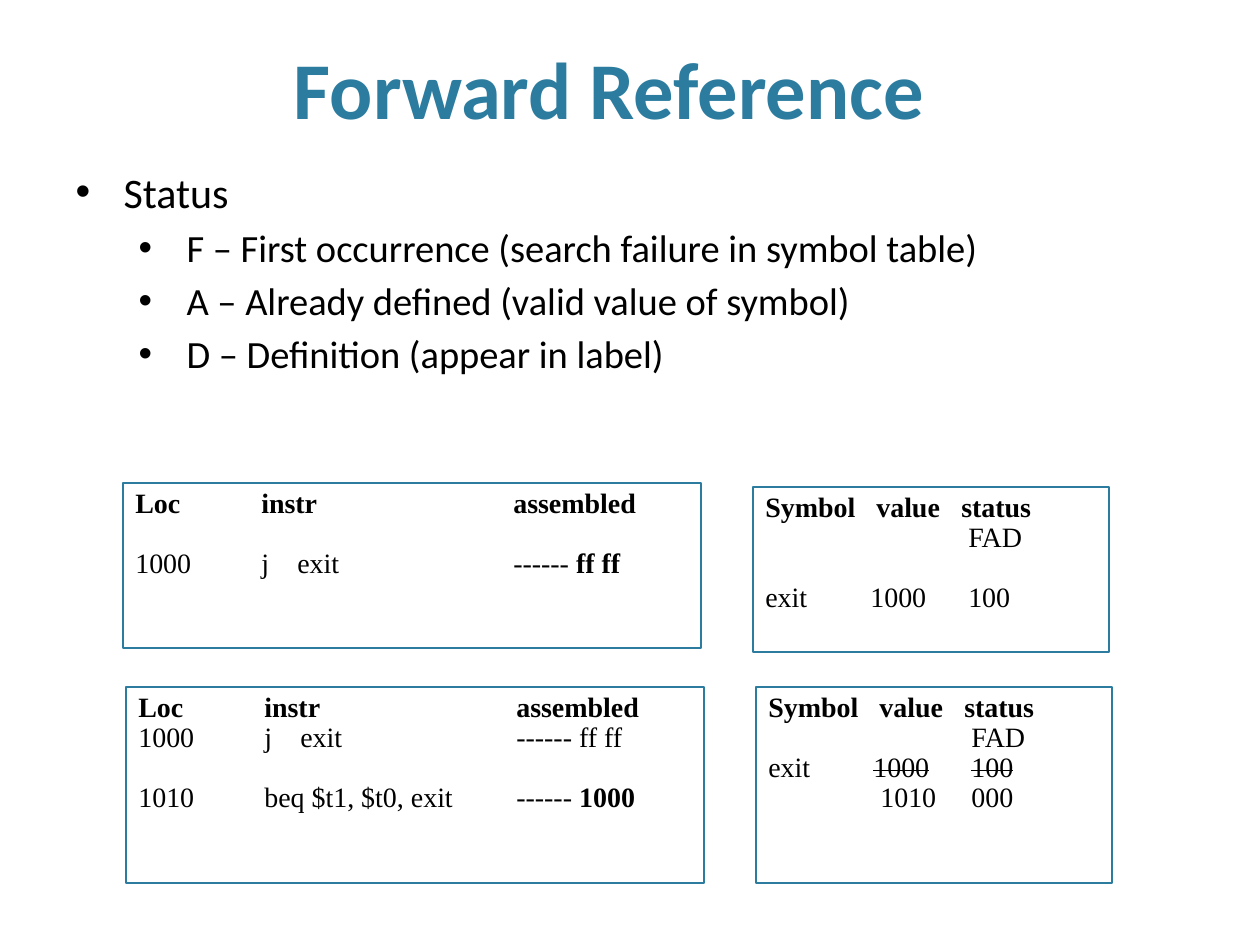
"""Build the Forward Reference slide: status flags above two assembler states."""
import pptx
import pptx.util
import pptx.dml.color
import pptx.enum.shapes
import pptx.enum.text
import pptx.oxml
import pptx.oxml.ns

COLORS = {"accent": "2C7C9F", "text": "000000"}
PX = 914400 // 126
BLANK_LINE = 17

TITLE = ("Forward Reference", (21, 34, 1176, 107))
STATUS_BOX = (63, 160, 1160, 249)
STATUS = [
    (0, "Status"),
    (1, "F – First occurrence (search failure in symbol table)"),
    (1, "A – Already defined (valid value of symbol)"),
    (1, "D – Definition (appear in label)"),
]
LEVELS = [{"size": 24, "indent": 48}, {"size": 22, "indent": 111}]

CODE_HEAD = (0, (126, 378), [("Loc\tinstr\tassembled", "bold")])
SYMBOL_HEAD = [
    (0, (111, 196), [("Symbol\tvalue\tstatus", "bold")]),
    (0, (203,), [("\tFAD", "")]),
]
JUMP_TABS = (126, 162, 378)
PANELS = [
    ((123, 483, 578, 165), [
        CODE_HEAD,
        (BLANK_LINE, JUMP_TABS, [("1000\tj\texit\t------ ", ""), ("ff ff", "bold")]),
    ]),
    ((753, 487, 356, 165), SYMBOL_HEAD + [
        (BLANK_LINE, (105, 203), [("exit\t1000\t100", "")]),
    ]),
    ((126, 687, 578, 196), [
        CODE_HEAD,
        (0, JUMP_TABS, [("1000\tj\texit\t------ ff ff", "")]),
        (BLANK_LINE, (126, 378), [("1010\tbeq $t1, $t0, exit\t------ ", ""), ("1000", "bold")]),
    ]),
    ((756, 687, 356, 196), SYMBOL_HEAD + [
        (0, (105, 203), [("exit\t", ""), ("1000", "strike"), ("\t", ""), ("100", "strike")]),
        (0, (112, 203), [("\t1010\t000", "")]),
    ]),
]


def color(name):
    return pptx.dml.color.RGBColor.from_string(COLORS[name])


def place(shape, box):
    shape.left, shape.top, shape.width, shape.height = [side * PX for side in box]


def setup_frame(frame, anchor):
    frame.word_wrap = True
    frame.auto_size = pptx.enum.text.MSO_AUTO_SIZE.NONE
    frame.vertical_anchor = anchor


def add_run(paragraph, text, font, size, tint="text", style=""):
    run = paragraph.add_run()
    run.text = text
    run.font.name = font
    run.font.size = pptx.util.Pt(size)
    run.font.bold = style == "bold"
    run.font.color.rgb = color(tint)
    if style == "strike":
        run._r.get_or_add_rPr().set("strike", "sngStrike")


def next_paragraph(frame, index):
    return frame.add_paragraph() if index else frame.paragraphs[0]


def add_child(parent, tag, **attributes):
    child = pptx.oxml.parse_xml(f"<{tag} {pptx.oxml.ns.nsdecls('a')}/>")
    for key, value in attributes.items():
        child.set(key, str(value))
    parent.append(child)
    return child


def add_title(slide):
    text, box = TITLE
    title = slide.shapes.title
    place(title, box)
    setup_frame(title.text_frame, pptx.enum.text.MSO_ANCHOR.MIDDLE)
    heading = title.text_frame.paragraphs[0]
    heading.alignment = pptx.enum.text.PP_ALIGN.CENTER
    add_run(heading, text, "Calibri", 46, "accent", "bold")


def add_status(slide):
    body = slide.placeholders[1]
    place(body, STATUS_BOX)
    setup_frame(body.text_frame, pptx.enum.text.MSO_ANCHOR.TOP)
    for index, (level, text) in enumerate(STATUS):
        item = next_paragraph(body.text_frame, index)
        item.level = level
        properties = item._p.get_or_add_pPr()
        properties.set("marL", str(LEVELS[level]["indent"] * PX))
        properties.set("indent", str(-LEVELS[0]["indent"] * PX))
        add_child(properties, "a:buFont", typeface="Arial")
        add_child(properties, "a:buChar", char="•")
        item.space_before = pptx.util.Pt(4 if index else 0)
        add_run(item, text, "Calibri", LEVELS[level]["size"])


def add_panel(slide, box, rows):
    panel = slide.shapes.add_shape(
        pptx.enum.shapes.MSO_SHAPE.RECTANGLE, *[side * PX for side in box])
    panel.shadow.inherit = False
    panel.fill.background()
    panel.line.color.rgb = color("accent")
    panel.line.width = pptx.util.Pt(1.25)
    setup_frame(panel.text_frame, pptx.enum.text.MSO_ANCHOR.TOP)
    for index, (gap, stops, runs) in enumerate(rows):
        row = next_paragraph(panel.text_frame, index)
        tabs = add_child(row._p.get_or_add_pPr(), "a:tabLst")
        for stop in stops:
            add_child(tabs, "a:tab", pos=stop * PX, algn="l")
        row.alignment = pptx.enum.text.PP_ALIGN.LEFT
        row.line_spacing = 0.9
        row.space_before = pptx.util.Pt(gap)
        for text, style in runs:
            add_run(row, text, "Times New Roman", 16, style=style)


def main():
    deck = pptx.Presentation()
    deck.slide_width, deck.slide_height = 1260 * PX, 945 * PX
    slide = deck.slides.add_slide(deck.slide_layouts[1])
    add_title(slide)
    add_status(slide)
    for box, rows in PANELS:
        add_panel(slide, box, rows)
    deck.save("out.pptx")


if __name__ == "__main__":
    main()
